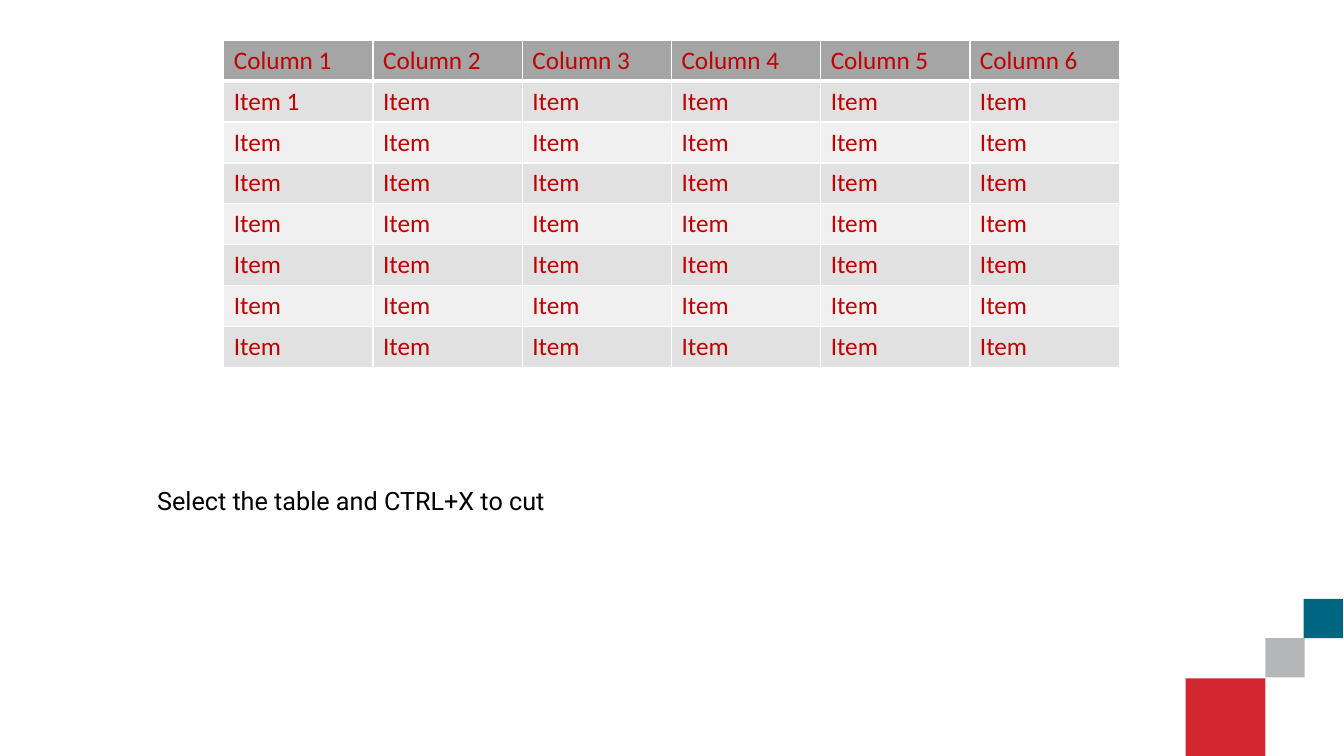
"""Build a slide with a sample table, a caption and corner squares."""
from dataclasses import dataclass

from lxml.etree import SubElement
from pptx import Presentation
from pptx.dml.color import RGBColor
from pptx.enum.shapes import MSO_SHAPE
from pptx.enum.text import MSO_ANCHOR, MSO_AUTO_SIZE
from pptx.oxml.ns import qn
from pptx.slide import Slide
from pptx.table import _Cell
from pptx.text.text import TextFrame
from pptx.util import Inches, Pt

COLUMNS, ROWS = 6, 8
COLUMN_WIDTH, ROW_HEIGHT = 1.48, 0.405
HEADER_FILL = "A5A5A5"
BAND_FILLS = ("F0F0F0", "E1E1E1")


@dataclass
class Square:
    """A coloured square of the corner decoration, in inches."""

    left: float
    top: float
    size: float
    fill: str


SQUARES = (
    Square(12.55, 6.33, 0.39, "B4B6B8"),
    Square(12.93, 5.94, 0.39, "006580"),
    Square(11.76, 6.73, 0.79, "D22630"),
)


def rgb(color: str) -> RGBColor:
    """Turn a hex string into a colour."""
    return RGBColor.from_string(color)


def write(tf: TextFrame, text: str, *, font: str, color: str, size: float = 18) -> None:
    """Put one formatted run into a text frame."""
    r = tf.paragraphs[0].add_run()
    r.text = text
    r.font.name = font
    r.font.size = Pt(size)
    r.font.bold = False
    r.font.color.rgb = rgb(color)


def add_square(s: Slide, square: Square) -> None:
    """Draw one corner square."""
    size = Inches(square.size)
    sp = s.shapes.add_shape(
        MSO_SHAPE.RECTANGLE, Inches(square.left), Inches(square.top), size, size
    )
    sp.shadow.inherit = False
    sp.fill.solid()
    sp.fill.fore_color.rgb = rgb(square.fill)
    sp.line.fill.background()


def set_borders(cell: _Cell, color: str, bottom: float) -> None:
    """Draw thin cell borders, with a given bottom width in points."""
    tc_pr = cell._tc.get_or_add_tcPr()
    for side, width in (("L", 1), ("R", 1), ("T", 1), ("B", bottom)):
        line = SubElement(tc_pr, qn(f"a:ln{side}"), w=str(Pt(width)))
        fill = SubElement(line, qn("a:solidFill"))
        SubElement(fill, qn("a:srgbClr"), val=color)


def cell_text(row: int, column: int) -> str:
    """Return the wording of a table cell."""
    if row == 0:
        return f"Column {column + 1}"
    return "Item 1" if (row, column) == (1, 0) else "Item"


def add_item_table(s: Slide) -> None:
    """Add the banded table of items."""
    table = s.shapes.add_table(
        ROWS, COLUMNS, Inches(2.22), Inches(0.4),
        Inches(COLUMNS * COLUMN_WIDTH), Inches(ROWS * ROW_HEIGHT),
    ).table
    for column in table.columns:
        column.width = Inches(COLUMN_WIDTH)
    for i, row in enumerate(table.rows):
        row.height = Inches(ROW_HEIGHT)
        for j, cell in enumerate(row.cells):
            set_borders(cell, "FFFFFF", bottom=1 if i else 3)
            cell.fill.solid()
            cell.fill.fore_color.rgb = rgb(BAND_FILLS[i % 2] if i else HEADER_FILL)
            cell.vertical_anchor = MSO_ANCHOR.TOP
            write(cell.text_frame, cell_text(i, j), font="Calibri", color="C00000")


def add_caption(s: Slide) -> None:
    """Add the instruction below the table."""
    sp = s.shapes.add_textbox(Inches(1.46), Inches(4.77), Inches(6.69), Inches(0.4))
    tf = sp.text_frame
    tf.word_wrap = True
    tf.auto_size = MSO_AUTO_SIZE.SHAPE_TO_FIT_TEXT
    write(tf, "Select the table and CTRL+X to cut", font="Roboto", color="000000")


def main() -> None:
    """Build and save the slide."""
    prs = Presentation()
    prs.slide_width, prs.slide_height = Inches(13.33), Inches(7.5)
    s = prs.slides.add_slide(prs.slide_layouts[6])
    for square in SQUARES:
        add_square(s, square)
    add_item_table(s)
    add_caption(s)
    prs.save("out.pptx")


if __name__ == "__main__":
    main()
